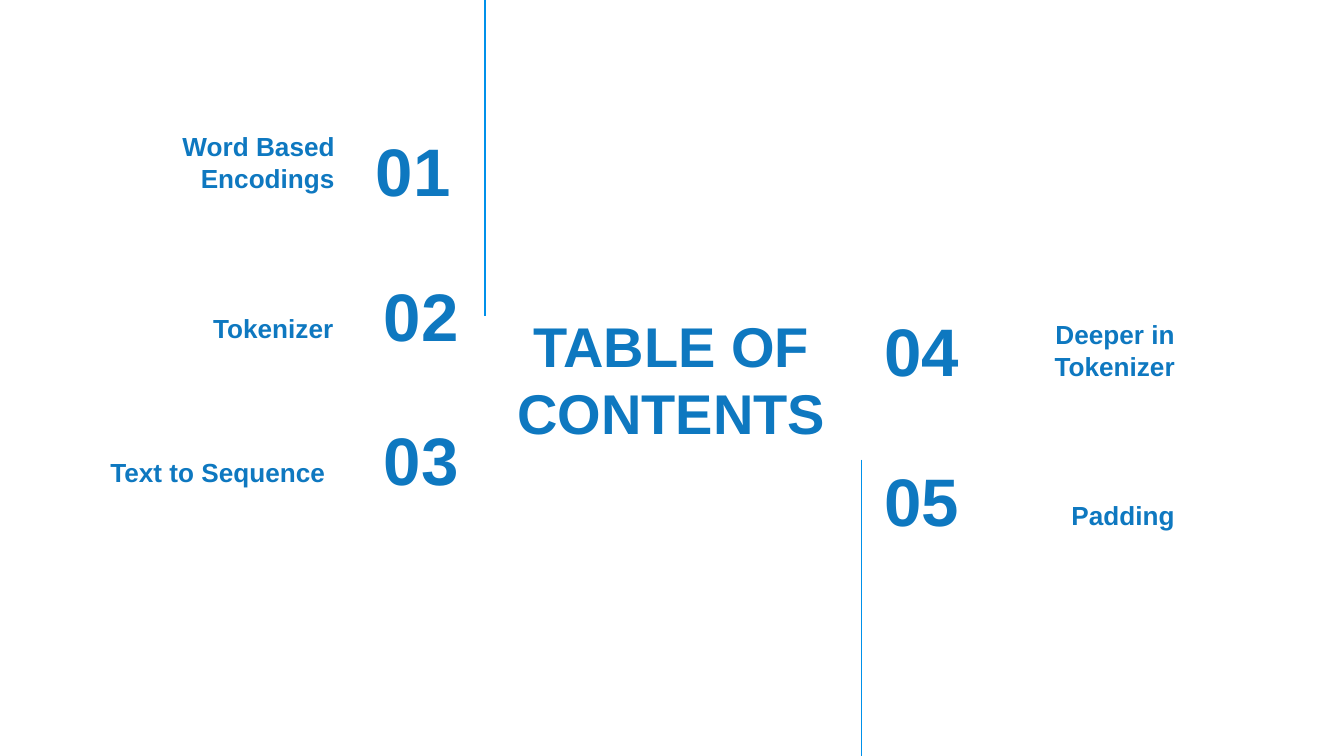
from lxml import etree
from pptx import Presentation
from pptx.dml.color import RGBColor
from pptx.enum.shapes import MSO_CONNECTOR
from pptx.enum.text import MSO_ANCHOR, MSO_AUTO_SIZE, PP_ALIGN
from pptx.oxml.ns import qn
from pptx.util import Inches, Pt

TEXT_BLUE = "0E78C0"
LINE_BLUE = "0091EA"
ROW_HEIGHT = 0.63


def color(value):
    """Turn a hex string into a colour."""
    return RGBColor.from_string(value)


def place(shape, left, top, width, height):
    """Set the position and size of a shape in inches."""
    shape.left, shape.top = Inches(left), Inches(top)
    shape.width, shape.height = Inches(width), Inches(height)


def write_text(shape, text, size=14, align=PP_ALIGN.RIGHT, anchor=MSO_ANCHOR.MIDDLE):
    """Write bold blue text into a shape."""
    frame = shape.text_frame
    frame.word_wrap = True
    frame.auto_size = MSO_AUTO_SIZE.NONE
    frame.vertical_anchor = anchor
    frame.margin_left = frame.margin_right = Inches(0.1)
    frame.margin_top = frame.margin_bottom = Inches(0.1)
    paragraph = frame.paragraphs[0]
    paragraph.alignment = align
    run = paragraph.add_run()
    run.text = text
    run.font.name = "Arial"
    run.font.size = Pt(size)
    run.font.bold = True
    run.font.color.rgb = color(TEXT_BLUE)


def add_text(slide, text, left, top, width, height, **text_format):
    """Add a text box with formatted text."""
    shape = slide.shapes.add_textbox(
        Inches(left), Inches(top), Inches(width), Inches(height))
    write_text(shape, text, **text_format)


def add_title(slide, text):
    """Place and format the title placeholder."""
    title = slide.shapes.title
    place(title, 3.7, 2.3, 2.59, 1.03)
    write_text(title, text, size=30, align=PP_ALIGN.CENTER)


def add_left_entry(slide, number, name, name_left, name_top, number_left, number_top):
    """Add a contents entry with its number to the right of its name."""
    add_text(slide, name, name_left, name_top, 2.16, ROW_HEIGHT,
             anchor=MSO_ANCHOR.BOTTOM)
    add_text(slide, number, number_left, number_top, 1.21, ROW_HEIGHT, size=36)


def add_right_entry(slide, number, name, top):
    """Add a contents entry with its number to the left of its name."""
    add_text(slide, number, 6.48, top, 1.17, ROW_HEIGHT, size=36,
             align=PP_ALIGN.LEFT)
    add_text(slide, name, 7.29, top + 0.02, 1.55, ROW_HEIGHT,
             anchor=MSO_ANCHOR.BOTTOM)


def add_vertical_line(slide, x, top, bottom):
    """Add a thin vertical line without a shadow."""
    line = slide.shapes.add_connector(
        MSO_CONNECTOR.STRAIGHT, Inches(x), Inches(top), Inches(x), Inches(bottom))
    line.line.color.rgb = color(LINE_BLUE)
    line.line.width = Pt(0.75)
    etree.SubElement(line._element.spPr, qn("a:effectLst"))


def main():
    """Build the table of contents slide."""
    presentation = Presentation()
    presentation.slide_width = Inches(10)
    presentation.slide_height = Inches(10 * 9 / 16)
    slide = presentation.slides.add_slide(presentation.slide_layouts[5])
    slide.background.fill.solid()
    slide.background.fill.fore_color.rgb = color("FFFFFF")

    add_title(slide, "TABLE OF CONTENTS")
    add_left_entry(slide, "01", "Word Based Encodings", 0.43, 0.91, 2.24, 0.95)
    add_left_entry(slide, "02", "Tokenizer", 0.42, 2.03, 2.3, 2.03)
    add_left_entry(slide, "03", "Text to Sequence", 0.36, 3.1, 2.3, 3.1)
    add_vertical_line(slide, 3.61, 0, 2.35)
    add_vertical_line(slide, 6.41, 3.42, 5.64)
    add_right_entry(slide, "04", "Deeper in Tokenizer", 2.29)
    add_right_entry(slide, "05", "Padding", 3.4)

    presentation.save("out.pptx")


if __name__ == "__main__":
    main()
